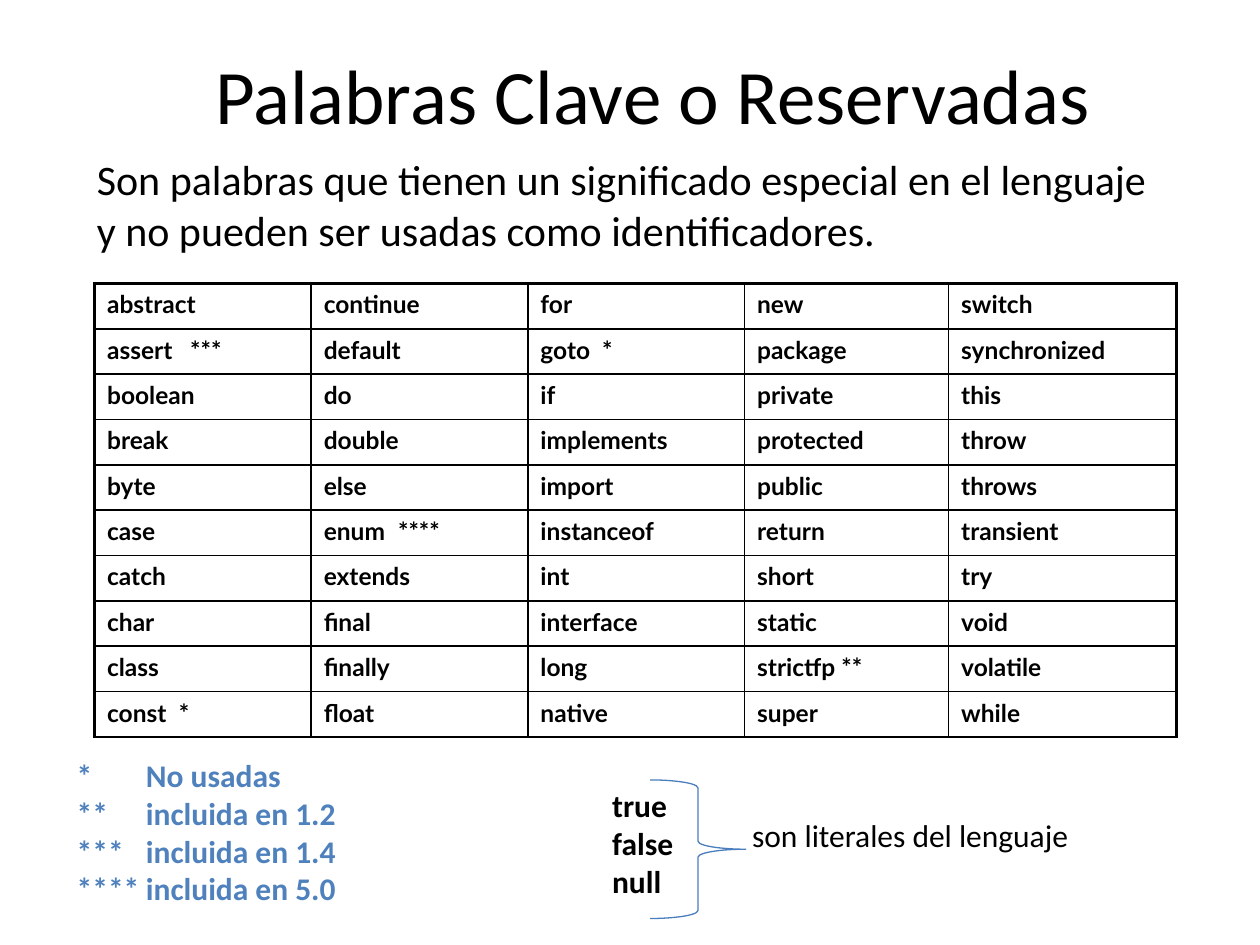
from dataclasses import dataclass
from lxml.etree import SubElement
from pptx import Presentation
from pptx.dml.color import RGBColor as RGB
from pptx.enum.shapes import MSO_SHAPE as Shape
from pptx.enum.text import MSO_ANCHOR as Anchor, MSO_AUTO_SIZE as AutoSize, PP_ALIGN as Align
from pptx.oxml.ns import qn
from pptx.util import Inches, Pt


@dataclass(frozen=True)
class Theme:
    font: str = "Calibri"
    table_font: str = "Lato"
    black: str = "000000"
    accent: str = "4F81BD"
    brace: str = "4B7EBC"
    title: int = 44
    lead: int = 24
    note: int = 18
    word: int = 14
    outer: float = 2.25
    inner: float = 1
    hairline: float = 0.75


THEME = Theme()

# Content
TITLE = "Palabras Clave o Reservadas"
LEAD = ("Son palabras que tienen un significado especial en el lenguaje "
        "y no pueden ser usadas como identificadores.")
KEYWORDS = [
    ("abstract", "continue", "for", "new", "switch"),
    ("assert\t***", "default", "goto\t*", "package", "synchronized"),
    ("boolean", "do", "if", "private", "this"),
    ("break", "double", "implements", "protected", "throw"),
    ("byte", "else", "import", "public", "throws"),
    ("case", "enum\t****", "instanceof", "return", "transient"),
    ("catch", "extends", "int", "short", "try"),
    ("char", "final", "interface", "static", "void"),
    ("class", "finally", "long", "strictfp **", "volatile"),
    ("const\t*", "float", "native", "super", "while"),
]
MARK_STOPS = {"assert": 0.66, "goto": 0.49, "const": 0.57, "enum": 0.59}
NOTES = ["*\tNo usadas", "**\tincluida en 1.2", "***\tincluida en 1.4",
         "****\tincluida en 5.0"]
LITERALS = ["true", "false", "null"]
LITERALS_LABEL = "son literales del lenguaje"

# Layout in inches
SLIDE = (10, 7.5)
TITLE_BOX = (0.92, 0.33, 8.52, 0.83)
LEAD_BOX = (0.67, 1.17, 8.6, 0.91)
TABLE_AT = (0.75, 2.25)
COLUMNS = (1.72, 1.72, 1.72, 1.62, 1.81)
ROW = 0.36
NOTES_BOX = (0.51, 5.95, 2.52, 1.31)
NOTES_STOP = 0.55
LITERALS_BOX = (4.76, 6.19, 0.69, 1.01)
BRACE_BOX = (5.16, 6.19, 0.76, 1.1)
LABEL_BOX = (5.87, 6.43, 2.98, 0.4)


def inches(box):
    return [Inches(length) for length in box]


def write(paragraph, text, size, font=THEME.font, color=THEME.black, bold=False):
    run = paragraph.add_run()
    run.text = text
    run.font.size = Pt(size)
    run.font.name = font
    run.font.bold = bold
    run.font.color.rgb = RGB.from_string(color)


def set_tab(paragraph, stop):
    tabs = SubElement(paragraph._p.get_or_add_pPr(), qn("a:tabLst"))
    SubElement(tabs, qn("a:tab"), pos=str(Inches(stop)), algn="l")


def add_text(slide, box, lines, size, wrap=False, stop=None, **style):
    frame = slide.shapes.add_textbox(*inches(box)).text_frame
    frame.word_wrap = wrap
    frame.auto_size = AutoSize.SHAPE_TO_FIT_TEXT
    for i, line in enumerate(lines):
        paragraph = frame.add_paragraph() if i else frame.paragraphs[0]
        if stop:
            set_tab(paragraph, stop)
        write(paragraph, line, size, **style)


def set_borders(cell, widths):
    properties = cell._tc.get_or_add_tcPr()
    for position, (side, width) in enumerate(widths.items()):
        line = SubElement(properties, qn(f"a:ln{side}"), w=str(Pt(width)))
        fill = SubElement(line, qn("a:solidFill"))
        SubElement(fill, qn("a:srgbClr"), val=THEME.black)
        properties.insert(position, line)  # borders precede the fill


def add_keywords(slide):
    size = (sum(COLUMNS), ROW * len(KEYWORDS))
    table = slide.shapes.add_table(len(KEYWORDS), len(COLUMNS),
                                   *inches(TABLE_AT + size)).table
    table.first_row = table.horz_banding = False
    for column, width in zip(table.columns, COLUMNS):
        column.width = Inches(width)
    last = len(COLUMNS) - 1
    for r, words in enumerate(KEYWORDS):
        table.rows[r].height = Inches(ROW)
        for c, text in enumerate(words):
            cell = table.cell(r, c)
            cell.fill.background()
            set_borders(cell, {
                "L": THEME.outer if c == 0 else THEME.inner,
                "R": THEME.outer if c == last else THEME.inner,
                "T": THEME.outer if r == 0 else THEME.inner,
                "B": THEME.inner,
            })
            paragraph = cell.text_frame.paragraphs[0]
            paragraph.space_before = Pt(0.2 * THEME.word)
            word = text.split("\t")[0]
            if word in MARK_STOPS:
                set_tab(paragraph, MARK_STOPS[word])
            write(paragraph, text, THEME.word, THEME.table_font, bold=True)


def main():
    deck = Presentation()
    deck.slide_width, deck.slide_height = inches(SLIDE)
    slide = deck.slides.add_slide(deck.slide_layouts[5])

    # Title and lead
    title = slide.shapes.title
    title.left, title.top, title.width, title.height = inches(TITLE_BOX)
    title.text_frame.vertical_anchor = Anchor.MIDDLE
    heading = title.text_frame.paragraphs[0]
    heading.alignment = Align.CENTER
    write(heading, TITLE, THEME.title)

    # Keyword table
    add_keywords(slide)
    add_text(slide, LEAD_BOX, [LEAD], THEME.lead, wrap=True)

    # Notes and literals
    add_text(slide, NOTES_BOX, NOTES, THEME.note, stop=NOTES_STOP,
             color=THEME.accent, bold=True)
    add_text(slide, LITERALS_BOX, LITERALS, THEME.note, bold=True)
    brace = slide.shapes.add_shape(Shape.RIGHT_BRACE, *inches(BRACE_BOX))
    brace.shadow.inherit = False
    brace.fill.background()
    brace.line.color.rgb = RGB.from_string(THEME.brace)
    brace.line.width = Pt(THEME.hairline)
    add_text(slide, LABEL_BOX, [LITERALS_LABEL], THEME.note)

    deck.save("out.pptx")


if __name__ == "__main__":
    main()
